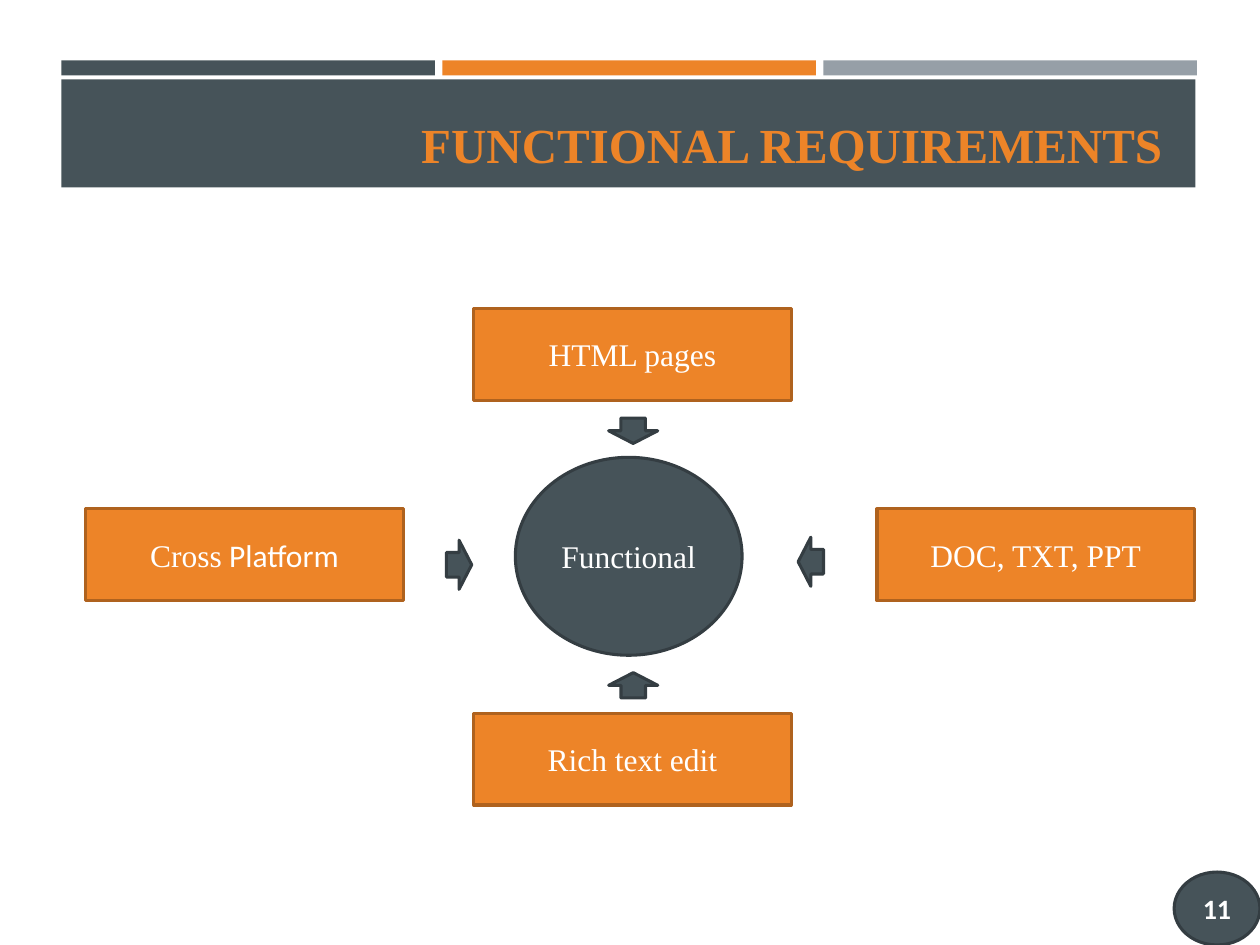
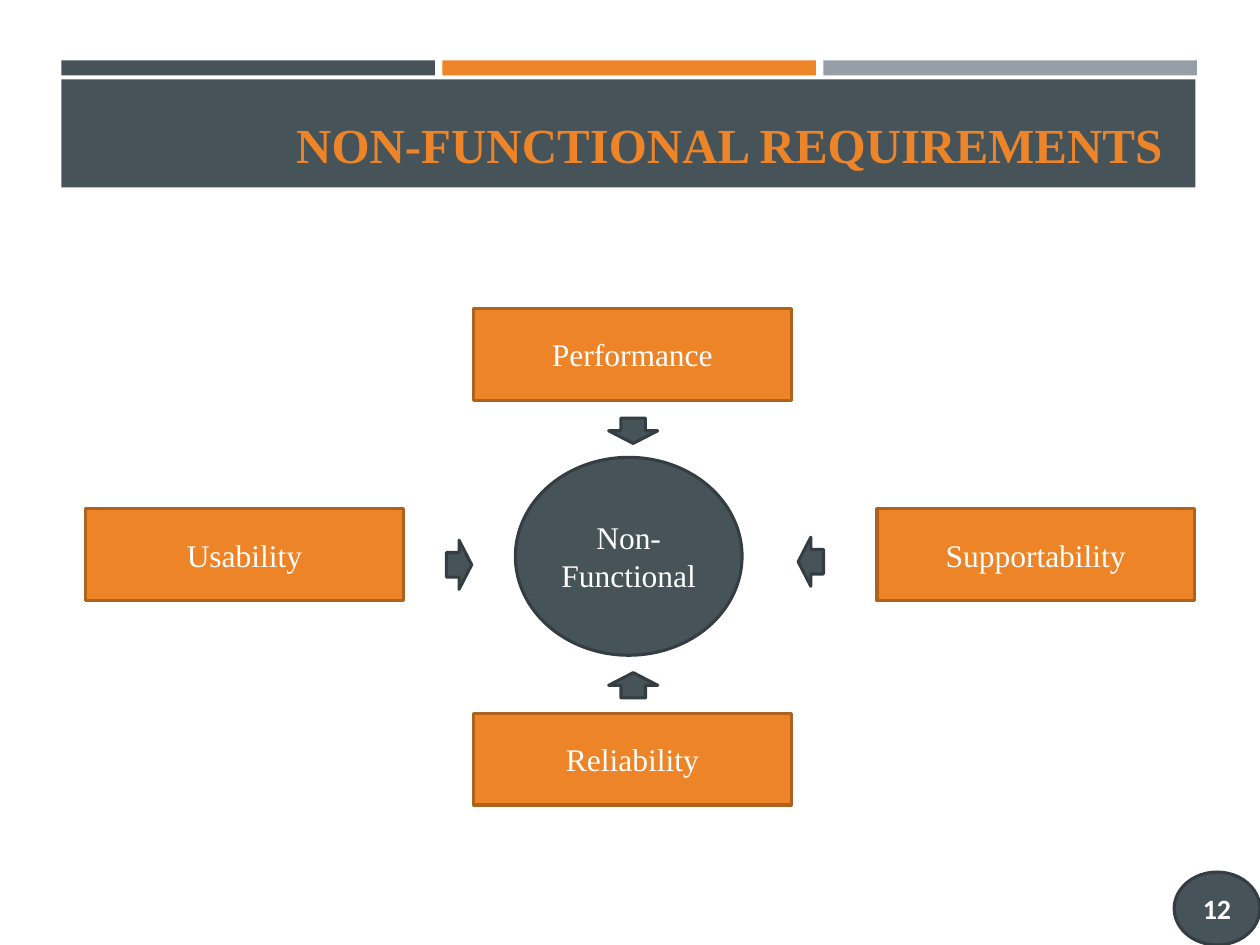
"""Builds two requirement slides, each a hub with four surrounding boxes."""
from dataclasses import dataclass

from pptx import Presentation
from pptx import util as u
from pptx.dml.color import RGBColor
from pptx.enum import shapes, text


@dataclass(frozen=True)
class Theme:
    slate: str = "465359"
    slate_edge: str = "343D42"
    orange: str = "ED8428"
    orange_edge: str = "AF621E"
    grey: str = "969FA7"
    white: str = "FFFFFF"
    serif: str = "Times New Roman"
    sans: str = "Calibri"
    title_size: int = 28
    label_size: int = 18
    number_size: int = 16
    edge_width: float = 1.75


BOX_SIZE = (6.4, 1.85)
ARROW_SIZE = (0.99, 0.51)
BOX_SPOTS = [(9.55, 6.22), (1.73, 10.26), (9.55, 14.38), (17.68, 10.26)]
ARROW_SPOTS = [(12.27, 8.43, 0), (15.85, 11.07, 90),
               (8.76, 11.13, 270), (12.27, 13.56, 180)]


class Builder:
    def __init__(self, deck, theme):
        self.deck = deck
        self.theme = theme
        self.page = None

    def add_lines(self, frame, lines, size, colour, align, bold=False):
        frame.vertical_anchor = text.MSO_ANCHOR.MIDDLE
        for index, line in enumerate(lines):
            para = frame.add_paragraph() if index else frame.paragraphs[0]
            para.alignment = align
            for words, font in line:
                span = para.add_run()
                span.text = words
                span.font.name = font
                span.font.size = u.Pt(size)
                span.font.bold = bold
                span.font.color.rgb = RGBColor.from_string(colour)

    def shape(self, kind, place, fill, edge=None):
        box = self.page.shapes.add_shape(kind, *map(u.Cm, place))
        box.shadow.inherit = False
        box.fill.solid()
        box.fill.fore_color.rgb = RGBColor.from_string(fill)
        if edge:
            box.line.color.rgb = RGBColor.from_string(edge)
            box.line.width = u.Pt(self.theme.edge_width)
        else:
            box.line.fill.background()
        return box

    def label(self, box, lines, size, bold=False):
        box.text_frame.word_wrap = False
        self.add_lines(box.text_frame, lines, size, self.theme.white,
                       text.PP_ALIGN.CENTER, bold)

    def bands(self):
        theme = self.theme
        for index, fill in enumerate((theme.slate, theme.orange, theme.grey)):
            self.shape(shapes.MSO_SHAPE.RECTANGLE,
                       (1.24 + 7.68 * index, 1.22, 7.53, 0.3), fill)
        self.shape(shapes.MSO_SHAPE.RECTANGLE, (1.24, 1.6, 22.86, 2.18), theme.slate)

    def title(self, words):
        box = self.page.shapes.title
        box.left, box.top, box.width, box.height = map(u.Cm, (1.68, 2.08, 22, 1.63))
        self.page.shapes.element.append(box.element)
        box.text_frame.auto_size = text.MSO_AUTO_SIZE.NONE
        self.add_lines(box.text_frame, [[(words, self.theme.serif)]],
                       self.theme.title_size, self.theme.orange,
                       text.PP_ALIGN.RIGHT, bold=True)

    def oval(self, place, lines, size, bold=False):
        box = self.shape(shapes.MSO_SHAPE.OVAL, place,
                         self.theme.slate, self.theme.slate_edge)
        self.label(box, lines, size, bold)

    def topic(self, spot, line):
        box = self.shape(shapes.MSO_SHAPE.RECTANGLE, spot + BOX_SIZE,
                         self.theme.orange, self.theme.orange_edge)
        self.label(box, [line], self.theme.label_size)

    def arrow(self, left, top, turn):
        box = self.shape(shapes.MSO_SHAPE.DOWN_ARROW, (left, top) + ARROW_SIZE,
                         self.theme.slate, self.theme.slate_edge)
        box.rotation = turn

    def requirements(self, number, title, hub, topics):
        theme = self.theme
        self.page = self.deck.slides.add_slide(self.deck.slide_layouts[5])
        self.bands()
        self.title(title)
        self.oval((23.67, 17.58, 1.73, 1.47), [[(str(number), theme.sans)]],
                  theme.number_size, bold=True)
        self.oval((10.39, 9.22, 4.57, 3.99),
                  [[(words, theme.serif)] for words in hub], theme.label_size)
        for spot, line in zip(BOX_SPOTS, topics):
            self.topic(spot, line)
        for spot in ARROW_SPOTS:
            self.arrow(*spot)


def main():
    deck = Presentation()
    deck.slide_width, deck.slide_height = u.Cm(25.4), u.Cm(19.05)
    theme = Theme()
    builder = Builder(deck, theme)
    builder.requirements(
        11, "FUNCTIONAL REQUIREMENTS", ["Functional"],
        [[("HTML pages", theme.serif)],
         [("Cross", theme.serif), (" Platform", theme.sans)],
         [("Rich text edit", theme.serif)],
         [("DOC, TXT, PPT", theme.serif)]])
    qualities = ("Performance", "Usability", "Reliability", "Supportability")
    builder.requirements(
        12, "NON-FUNCTIONAL REQUIREMENTS", ["Non-", "Functional"],
        [[(words, theme.serif)] for words in qualities])
    deck.save("out.pptx")


if __name__ == "__main__":
    main()
